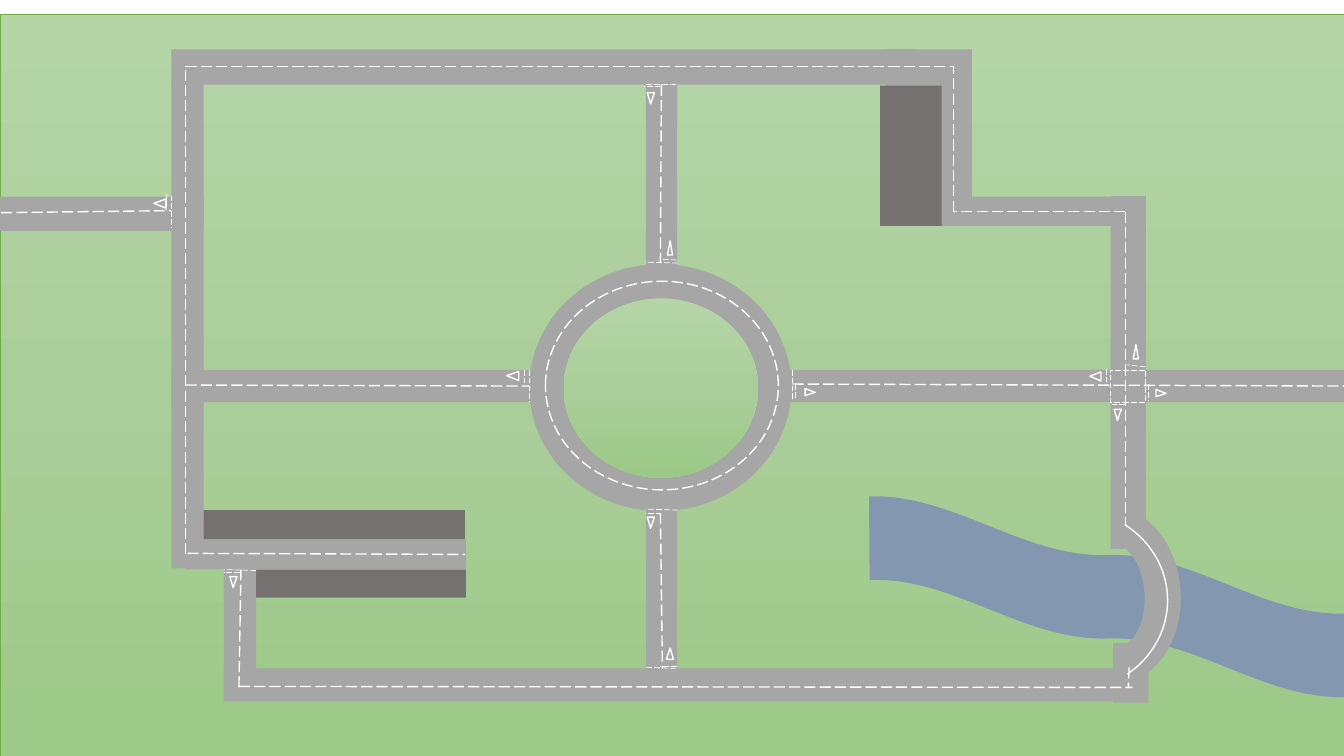
from copy import deepcopy

from lxml import etree
from pptx import Presentation
from pptx import util as u
from pptx.dml.color import RGBColor
from pptx.enum import dml, shapes
from pptx.oxml.ns import qn

COLORS = {
    "road": "A6A6A6", "parking": "767171", "river": "8497B0",
    "marking": "FFFFFF", "border": "70AD47",
}
GRASS = [(0, "B5D5A7"), (50, "AACE9A"), (100, "9CC987")]
DASH = dml.MSO_LINE.LONG_DASH
LINE_STYLES = {
    "lane": {"width": u.Pt(1), "dash_style": DASH},
    "stop": {"width": u.Pt(0.5), "dash_style": DASH},
    "arrow": {"width": u.Pt(1)},
    "border": {"width": u.Pt(0.5)},
}
KIND = shapes.MSO_SHAPE

prs = Presentation()
prs.slide_width, prs.slide_height = u.Inches(13.33), u.Inches(7.5)
slide = prs.slides.add_slide(prs.slide_layouts[6])


def style_line(line, style):
    line.color.rgb = RGBColor.from_string(COLORS["border" if style == "border" else "marking"])
    for attribute, value in LINE_STYLES[style].items():
        setattr(line, attribute, value)


def add_part(kind, at, fill=None, line=None, rotation=0, adjustments=()):
    """Add a preset shape; fill is a COLORS key, "grass" or None, line a LINE_STYLES key."""
    part = slide.shapes.add_shape(kind, *map(u.Inches, at))
    part.shadow.inherit = False
    part.rotation = rotation
    for index, value in enumerate(adjustments):
        part.adjustments[index] = value
    if fill is None:
        part.fill.background()
    elif fill == "grass":
        part.fill.gradient()
        part.fill.gradient_angle = 270
        stop_list = part.element.spPr.find(".//" + qn("a:gsLst"))
        stop_list.insert(1, deepcopy(stop_list[0]))
        for stop, (position, color) in zip(part.fill.gradient_stops, GRASS):
            stop.position = position / 100
            stop.color.rgb = RGBColor.from_string(color)
    else:
        part.fill.solid()
        part.fill.fore_color.rgb = RGBColor.from_string(COLORS[fill])
    if line:
        style_line(part.line, line)
    else:
        part.line.fill.background()


# Ground, roundabout and roads
add_part(KIND.RECTANGLE, (0, 0.14, 13.33, 7.5), "grass", "border")
add_part(KIND.OVAL, (5.25, 2.62, 2.6, 2.45), "road")
for at, rotation in [
    ((2.22, 6.63, 9.15, 0.33), 0),
    ((-0.56, 3.06, 4.84, 0.32), 90),
    ((3.51, 3.7, 6.1, 0.31), 90),
    ((9.44, 3.52, 3.5, 0.35), 90),
    ((1.7, 3.67, 11.63, 0.32), 0),
]:
    add_part(KIND.RECTANGLE, at, "road", rotation=rotation)
add_part(KIND.OVAL, (5.59, 2.96, 1.93, 1.78), "grass")
for at, rotation in [
    ((1.63, 6.04, 1.5, 0.32), 90),
    ((1.84, 5.35, 2.78, 0.3), 0),
    ((0, 1.95, 2.02, 0.34), 0),
    ((8.35, 0.92, 1.72, 0.86), 90),
    ((1.7, 0.49, 7.4, 0.35), 0),
    ((8.77, 1.95, 2.59, 0.29), 0),
]:
    add_part(KIND.RECTANGLE, at, "road", rotation=rotation)

for parking in [(8.73, 0.85, 0.61, 1.39), (2.02, 5.06, 2.59, 0.29), (2.54, 5.65, 2.08, 0.28)]:
    add_part(KIND.RECTANGLE, parking, "parking")

# River and the bridge across it
add_part(KIND.DOUBLE_WAVE, (8.45, 5.45, 5.08, 0.94), "river", rotation=13.8,
         adjustments=(0.073, 0.02))
add_part(KIND.BLOCK_ARC, (10.17, 5.24, 1.75, 1.33), "road", rotation=86.5,
         adjustments=(117.126, 1.999, 0.27))
add_part(KIND.RECTANGLE, (10.92, 6.5, 0.59, 0.35), "road", rotation=90)

# Markings that follow a curve or frame the crossing
add_part(KIND.BLOCK_ARC, (9.71, 4.99, 1.81, 1.93), line="lane", rotation=90,
         adjustments=(129.447, 193.168, 0))
add_part(KIND.OVAL, (5.41, 2.79, 2.31, 2.07), line="lane")
add_part(KIND.RECTANGLE, (11.01, 3.67, 0.35, 0.32), line="stop")

# Straight markings: x and y of the start, then of the end
markings = {
    "lane": [
        (1.84, 0.66, 9.46, 0.66), (1.84, 5.5, 1.84, 0.66), (9.46, 2.1, 9.46, 0.66),
        (11.16, 2.1, 9.46, 2.1), (11.16, 2.1, 11.16, 5.21), (7.86, 3.81, 13.33, 3.83),
        (6.56, 0.84, 6.55, 2.61), (6.55, 5.09, 6.57, 6.63), (2.37, 6.81, 11.23, 6.82),
        (0.01, 2.11, 1.7, 2.09), (1.84, 3.82, 5.25, 3.83), (1.86, 5.49, 4.61, 5.5),
        (2.37, 6.82, 2.39, 5.65), (11.2, 6.62, 11.19, 6.82),
    ],
    "stop": [
        # across the whole road
        (5.25, 3.67, 5.25, 3.99), (7.86, 3.67, 7.86, 3.98), (1.7, 1.94, 1.7, 2.26),
        (6.72, 2.61, 6.4, 2.6), (6.7, 0.84, 6.4, 0.84), (6.72, 5.06, 6.4, 5.05),
        (6.7, 6.63, 6.4, 6.62), (2.54, 5.66, 2.22, 5.65),
        # across one lane
        (6.56, 5.09, 6.4, 5.09), (2.38, 5.68, 2.22, 5.68), (6.55, 0.86, 6.39, 0.86),
        (6.71, 2.58, 6.55, 2.57), (6.71, 6.61, 6.55, 6.61), (5.2, 3.67, 5.2, 3.83),
        (7.89, 3.81, 7.89, 3.96), (10.97, 3.66, 10.97, 3.82), (11.39, 3.81, 11.39, 3.97),
        (11.16, 4.01, 11.01, 4.01), (11.36, 3.64, 11.18, 3.62), (1.65, 1.92, 1.65, 2.08),
    ],
}
for style, routes in markings.items():
    for route in routes:
        marking = slide.shapes.add_connector(shapes.MSO_CONNECTOR.STRAIGHT, *map(u.Inches, route))
        style_line(marking.line, style)
        etree.SubElement(marking.element.spPr, qn("a:effectLst"))

# Direction arrows, grouped by rotation
arrows = {
    180: [(6.42, 5.13, 0.07, 0.11), (2.28, 5.72, 0.07, 0.11), (6.42, 0.92, 0.07, 0.11),
          (11.05, 4.06, 0.07, 0.11)],
    90: [(8, 3.84, 0.07, 0.1), (11.48, 3.85, 0.07, 0.1)],
    270: [(5.04, 3.67, 0.09, 0.12), (10.82, 3.68, 0.09, 0.11), (1.54, 1.96, 0.09, 0.12)],
    0: [(6.61, 6.43, 0.07, 0.11), (11.24, 3.42, 0.05, 0.14), (6.62, 2.39, 0.05, 0.14)],
}
for rotation, places in arrows.items():
    for at in places:
        add_part(KIND.ISOSCELES_TRIANGLE, at, line="arrow", rotation=rotation,
                 adjustments=(0.534,))

prs.save("out.pptx")
